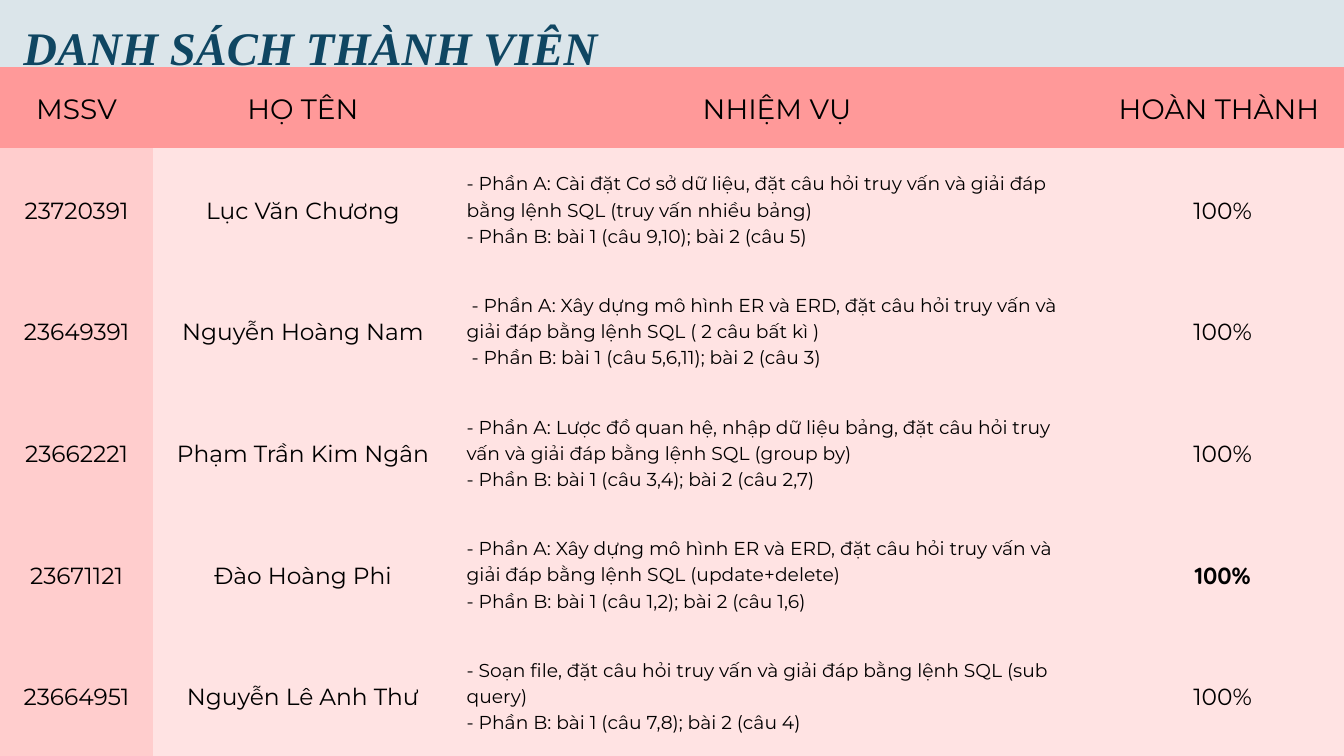
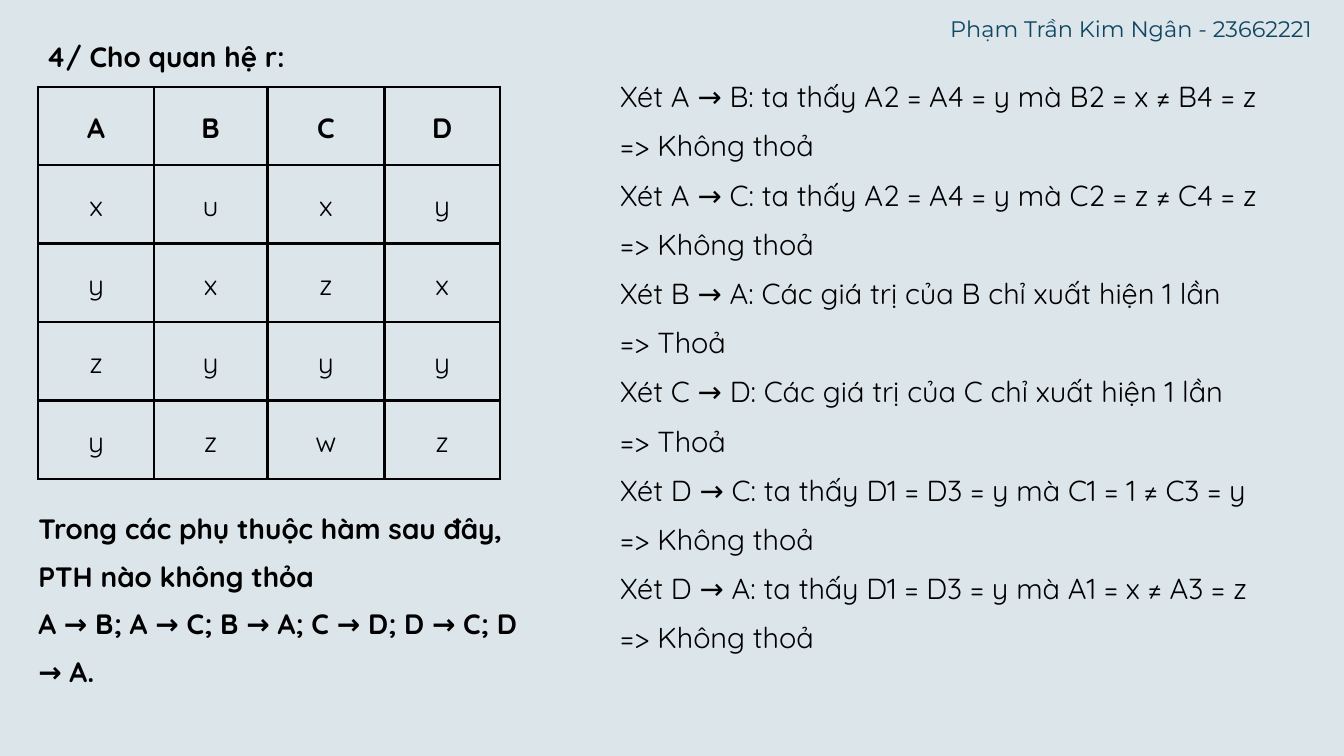
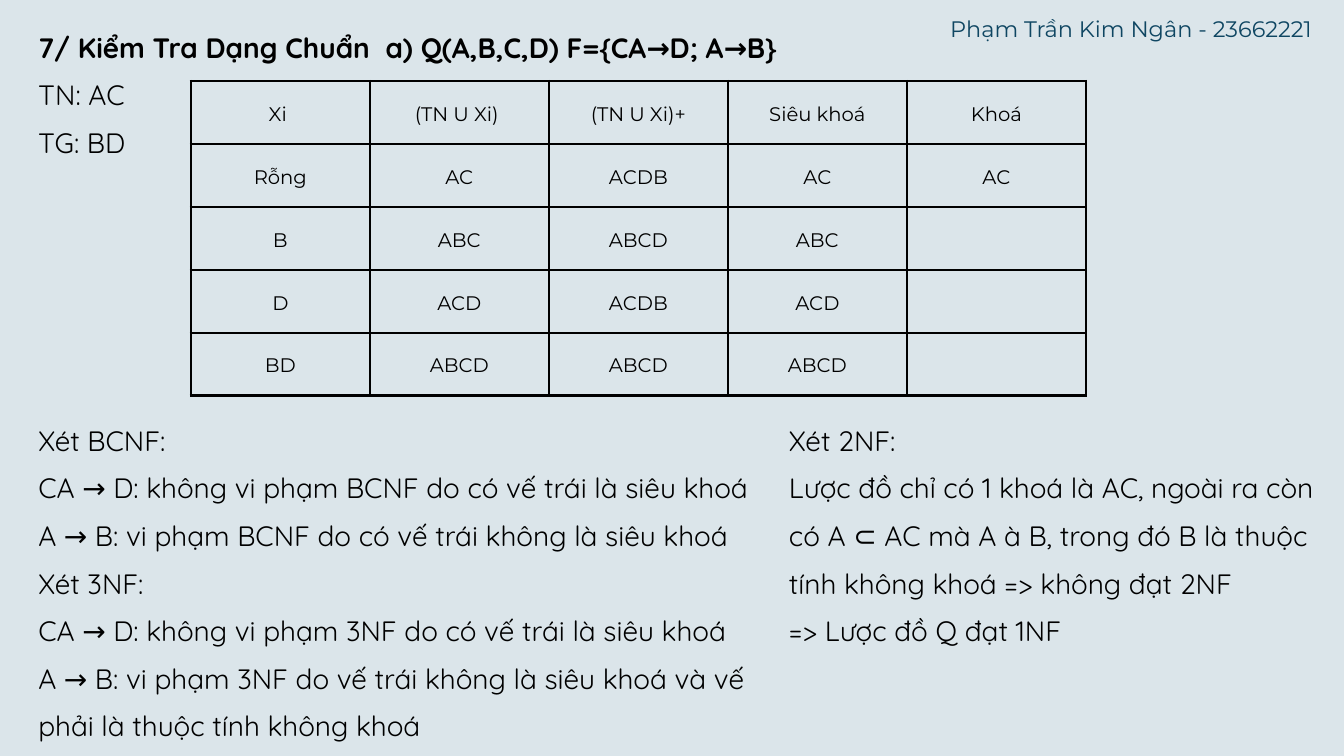
from collections.abc import Callable
from dataclasses import dataclass, replace

from lxml.etree import SubElement
from pptx import Presentation
from pptx.dml.color import RGBColor
from pptx.enum.shapes import MSO_SHAPE
from pptx.enum.text import MSO_ANCHOR, MSO_AUTO_SIZE, PP_ALIGN
from pptx.oxml.ns import qn
from pptx.presentation import Presentation as Deck
from pptx.slide import Slide
from pptx.table import Table, _Cell
from pptx.text.text import TextFrame, _Paragraph
from pptx.util import Pt


@dataclass(frozen=True)
class TextStyle:
    font: str
    size: float
    color: str = "000000"
    leading: float = 1.4
    bold: bool = False
    italic: bool = False
    align: PP_ALIGN = PP_ALIGN.LEFT


@dataclass(frozen=True)
class Theme:
    paper: str = "F8F8F8"
    mist: str = "DBE5EA"
    ink: str = "000000"
    coral: str = "FF9999"
    pink: str = "FFCDCD"
    blush: str = "FFE3E3"
    banner: TextStyle = TextStyle("Times New Roman", 50, "0F4662", bold=True, italic=True)
    author: TextStyle = TextStyle("Montserrat", 24, "0F4662")
    body: TextStyle = TextStyle("Quicksand", 30, leading=1.7)
    heading: TextStyle = TextStyle("Quicksand", 30, leading=1.7, bold=True)
    steps: TextStyle = TextStyle("Quicksand", 31, leading=1.7)
    member_header: TextStyle = TextStyle("Montserrat", 30, align=PP_ALIGN.CENTER)
    member: TextStyle = TextStyle("Montserrat", 25, align=PP_ALIGN.CENTER)
    task: TextStyle = TextStyle("Montserrat", 20)
    relation: TextStyle = TextStyle("Quicksand", 30, align=PP_ALIGN.CENTER)
    closure: TextStyle = TextStyle("Montserrat", 21, align=PP_ALIGN.CENTER)


@dataclass(frozen=True)
class Box:
    left: float
    top: float
    width: float
    height: float


@dataclass(frozen=True)
class Grid:
    left: float
    top: float
    columns: list[float]
    rows: list[float]
    border_color: str
    border_width: float


@dataclass(frozen=True)
class CellLook:
    style: TextStyle
    fill: str | None = None


THEME = Theme()
PAGE_WIDTH, PAGE_HEIGHT = 1440, 810
MARGIN = 41
CELL_INSET = 15
TITLE_ONLY, TWO_CONTENT = 5, 3
AUTHOR = "Phạm Trần Kim Ngân - 23662221"

MEMBERS = [
    ["MSSV", "HỌ TÊN", "NHIỆM VỤ", "HOÀN THÀNH "],
    ["23720391", "Lục Văn Chương",
     "- Phần A: Cài đặt Cơ sở dữ liệu, đặt câu hỏi truy vấn và giải đáp "
     "bằng lệnh SQL (truy vấn nhiều bảng)\n- Phần B: bài 1 (câu 9,10); bài 2 (câu 5)", "100%"],
    ["23649391", "Nguyễn Hoàng Nam",
     " - Phần A: Xây dựng mô hình ER và ERD, đặt câu hỏi truy vấn và giải đáp "
     "bằng lệnh SQL ( 2 câu bất kì )\n - Phần B: bài 1 (câu 5,6,11); bài 2 (câu 3)", "100%"],
    ["23662221", "Phạm Trần Kim Ngân",
     "- Phần A: Lược đồ quan hệ, nhập dữ liệu bảng, đặt câu hỏi truy vấn và giải đáp "
     "bằng lệnh SQL (group by)\n- Phần B: bài 1 (câu 3,4); bài 2 (câu 2,7)", "100%"],
    ["23671121", "Đào Hoàng Phi",
     "- Phần A: Xây dựng mô hình ER và ERD, đặt câu hỏi truy vấn và giải đáp "
     "bằng lệnh SQL (update+delete)\n- Phần B: bài 1 (câu 1,2); bài 2 (câu 1,6)", "100%"],
    ["23664951", "Nguyễn Lê Anh Thư",
     "- Soạn file, đặt câu hỏi truy vấn và giải đáp bằng lệnh SQL (sub query)\n"
     "- Phần B: bài 1 (câu 7,8); bài 2 (câu 4)", "100%"],
]

RELATION = [list(row) for row in ("ABCD", "xuxy", "yxzx", "zyyy", "yzwz")]

DEPENDENCY_STEPS = [
    "Xét A → B: ta thấy A2 = A4 = y mà B2 = x ≠ B4 = z", "=> Không thoả",
    "Xét A → C: ta thấy A2 = A4 = y mà C2 = z ≠ C4 = z", "=> Không thoả",
    "Xét B → A: Các giá trị của B chỉ xuất hiện 1 lần", "=> Thoả",
    "Xét C → D: Các giá trị của C chỉ xuất hiện 1 lần", "=> Thoả",
    "Xét D → C: ta thấy D1 = D3 = y mà C1 = 1 ≠ C3 = y", "=> Không thoả",
    "Xét D → A: ta thấy D1 = D3 = y mà A1 = x ≠ A3 = z", "=> Không thoả",
]

CLOSURES = [
    ["Xi ", "(TN U Xi) ", "(TN U Xi)+", "Siêu khoá", "Khoá"],
    ["Rỗng", "AC", "ACDB", "AC", "AC"],
    ["B", "ABC", "ABCD", "ABC", ""],
    ["D", "ACD", "ACDB", "ACD", ""],
    ["BD", "ABCD", "ABCD", "ABCD", ""],
]

BCNF_AND_3NF = [
    "Xét BCNF:",
    "CA → D: không vi phạm BCNF do có vế trái là siêu khoá",
    "A → B: vi phạm BCNF do có vế trái không là siêu khoá",
    "Xét 3NF:",
    "CA → D: không vi phạm 3NF do có vế trái là siêu khoá",
    "A → B: vi phạm 3NF do vế trái không là siêu khoá và vế phải là thuộc tính không khoá",
]

SECOND_FORM = [
    "Xét 2NF:",
    "Lược đồ chỉ có 1 khoá là AC, ngoài ra còn có A ⊂ AC mà A à B, "
    "trong đó B là thuộc tính không khoá => không đạt 2NF",
    "=> Lược đồ Q đạt 1NF",
]


def rgb(color: str) -> RGBColor:
    return RGBColor.from_string(color)


def style_paragraph(para: _Paragraph, style: TextStyle) -> None:
    para.alignment = style.align
    para.line_spacing = Pt(style.size * style.leading)
    para.space_before = para.space_after = Pt(0)
    properties = para._p.get_or_add_pPr()
    properties.set("marL", "0")
    properties.set("indent", "0")
    SubElement(properties, qn("a:buNone"))
    para.font.name = style.font
    para.font.size = Pt(style.size)
    para.font.bold = style.bold
    para.font.italic = style.italic
    para.font.color.rgb = rgb(style.color)


def write_lines(frame: TextFrame, lines: list[str], style: TextStyle) -> None:
    frame.text = "\n".join(lines)
    for para in frame.paragraphs:
        style_paragraph(para, style)


def set_text(shape, box: Box, lines: list[str], style: TextStyle) -> None:
    """Move a placeholder or text box to its place and fill it, without insets."""
    shape.left, shape.top = Pt(box.left), Pt(box.top)
    shape.width, shape.height = Pt(box.width), Pt(box.height)
    frame = shape.text_frame
    frame.margin_left = frame.margin_top = frame.margin_right = frame.margin_bottom = 0
    frame.word_wrap = True
    frame.auto_size = MSO_AUTO_SIZE.NONE
    frame.vertical_anchor = MSO_ANCHOR.TOP
    write_lines(frame, lines, style)


def add_text(page: Slide, box: Box, lines: list[str], style: TextStyle) -> None:
    set_text(page.shapes.add_textbox(0, 0, 0, 0), box, lines, style)


def set_title(page: Slide, box: Box, text: str, style: TextStyle) -> None:
    """Fill the title and bring it in front of what is already drawn."""
    title = page.shapes.title
    set_text(title, box, [text], style)
    title.element.getparent().append(title.element)


def add_borders(cell: _Cell, color: str, width: float) -> None:
    properties = cell._tc.get_or_add_tcPr()
    for side in ("lnL", "lnR", "lnT", "lnB"):
        line = SubElement(properties, qn(f"a:{side}"), w=str(Pt(width)))
        SubElement(SubElement(line, qn("a:solidFill")), qn("a:srgbClr"), val=color)


def add_grid(page: Slide, grid: Grid, texts: list[list[str]],
             look_of: Callable[[int, int], CellLook]) -> Table:
    """Draw a table; look_of gives the look of the cell at a row and column."""
    table = page.shapes.add_table(
        len(grid.rows), len(grid.columns), Pt(grid.left), Pt(grid.top),
        Pt(sum(grid.columns)), Pt(sum(grid.rows))).table
    table.first_row = table.horz_banding = False
    for column, width in zip(table.columns, grid.columns):
        column.width = Pt(width)
    for row, height in zip(table.rows, grid.rows):
        row.height = Pt(height)
    for row_index, row_texts in enumerate(texts):
        for column_index, text in enumerate(row_texts):
            cell = table.cell(row_index, column_index)
            look = look_of(row_index, column_index)
            add_borders(cell, grid.border_color, grid.border_width)
            if look.fill:
                cell.fill.solid()
                cell.fill.fore_color.rgb = rgb(look.fill)
            else:
                cell.fill.background()
            cell.margin_left = cell.margin_right = Pt(CELL_INSET)
            cell.margin_top = cell.margin_bottom = Pt(CELL_INSET)
            cell.vertical_anchor = MSO_ANCHOR.MIDDLE
            write_lines(cell.text_frame, text.split("\n"), look.style)
    return table


def add_page(deck: Deck, layout: int, background: str) -> Slide:
    page = deck.slides.add_slide(deck.slide_layouts[layout])
    page.background.fill.solid()
    page.background.fill.fore_color.rgb = rgb(background)
    return page


def add_exercise_page(deck: Deck, title: str, title_top: float) -> Slide:
    page = add_page(deck, TWO_CONTENT, THEME.mist)
    add_text(page, Box(1018, 11, 401, 31), [AUTHOR], THEME.author)
    set_title(page, Box(MARGIN, title_top, 950, 51), title, THEME.heading)
    return page


def member_look(row: int, column: int) -> CellLook:
    if row == 0:
        return CellLook(THEME.member_header, THEME.coral)
    if column == 0:
        return CellLook(THEME.member, THEME.pink)
    if column == 2:
        return CellLook(THEME.task, THEME.blush)
    if (row, column) == (4, 3):
        return CellLook(replace(THEME.member, font="Quicksand", bold=True), THEME.blush)
    return CellLook(THEME.member, THEME.blush)


def relation_look(row: int, column: int) -> CellLook:
    return CellLook(replace(THEME.relation, bold=row == 0))


def closure_look(row: int, column: int) -> CellLook:
    return CellLook(THEME.closure)


def build_members(deck: Deck) -> None:
    page = add_page(deck, TITLE_ONLY, THEME.paper)
    band = page.shapes.add_shape(MSO_SHAPE.RECTANGLE, 0, 0, Pt(PAGE_WIDTH), Pt(322.5))
    band.shadow.inherit = False
    band.fill.solid()
    band.fill.fore_color.rgb = rgb(THEME.mist)
    band.line.fill.background()
    grid = Grid(0, 71.5, [164, 321, 695, 260], [87] + [130.3] * 5, THEME.coral, 0)
    add_grid(page, grid, MEMBERS, member_look)
    set_title(page, Box(25, 10, 780, 67), "DANH SÁCH THÀNH VIÊN", THEME.banner)


def build_relation(deck: Deck) -> None:
    page = add_exercise_page(deck, " 4/ Cho quan hệ r:", 27.4)
    grid = Grid(MARGIN, 93, [123.8, 121.7, 125.3, 123.8], [84] * 5, THEME.ink, 3)
    add_grid(page, grid, RELATION, relation_look)
    question, steps = page.placeholders[1], page.placeholders[2]
    set_text(question, Box(MARGIN, 533, 523.5, 248),
             ["Trong các phụ thuộc hàm sau đây, PTH nào không thỏa",
              "A → B; A → C; B → A; C → D; D → C; D → A."], THEME.heading)
    set_text(steps, Box(664.5, 69, 700, 679), DEPENDENCY_STEPS, THEME.steps)


def build_normal_forms(deck: Deck) -> None:
    page = add_exercise_page(
        deck, "7/ Kiểm Tra Dạng Chuẩn  a) Q(A,B,C,D) F={CA→D; A→B}", 17.3)
    add_text(page, Box(MARGIN, 68.3, 150, 102), ["TN: AC", "TG: BD"], THEME.body)
    grid = Grid(204.5, 87, [191.8] * 5, [67.4] * 5, THEME.ink, 3)
    add_grid(page, grid, CLOSURES, closure_look)
    left, right = page.placeholders[1], page.placeholders[2]
    set_text(left, Box(MARGIN, 438.5, 804, 348), BCNF_AND_3NF, THEME.body)
    set_text(right, Box(845.3, 438.5, 574, 298), SECOND_FORM, THEME.body)


def main() -> None:
    deck = Presentation()
    deck.slide_width, deck.slide_height = Pt(PAGE_WIDTH), Pt(PAGE_HEIGHT)
    build_members(deck)
    build_relation(deck)
    build_normal_forms(deck)
    deck.save("out.pptx")


if __name__ == "__main__":
    main()
